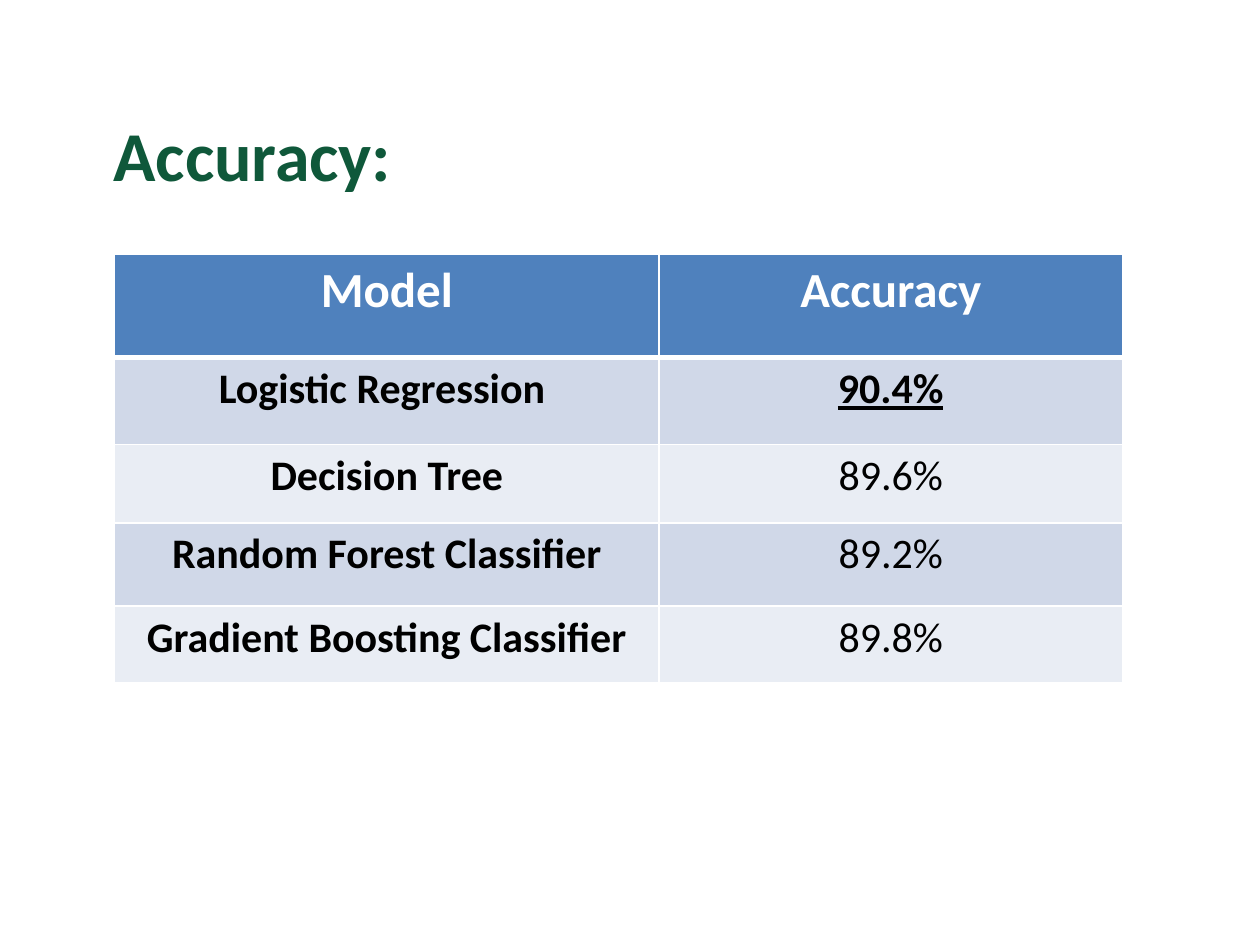
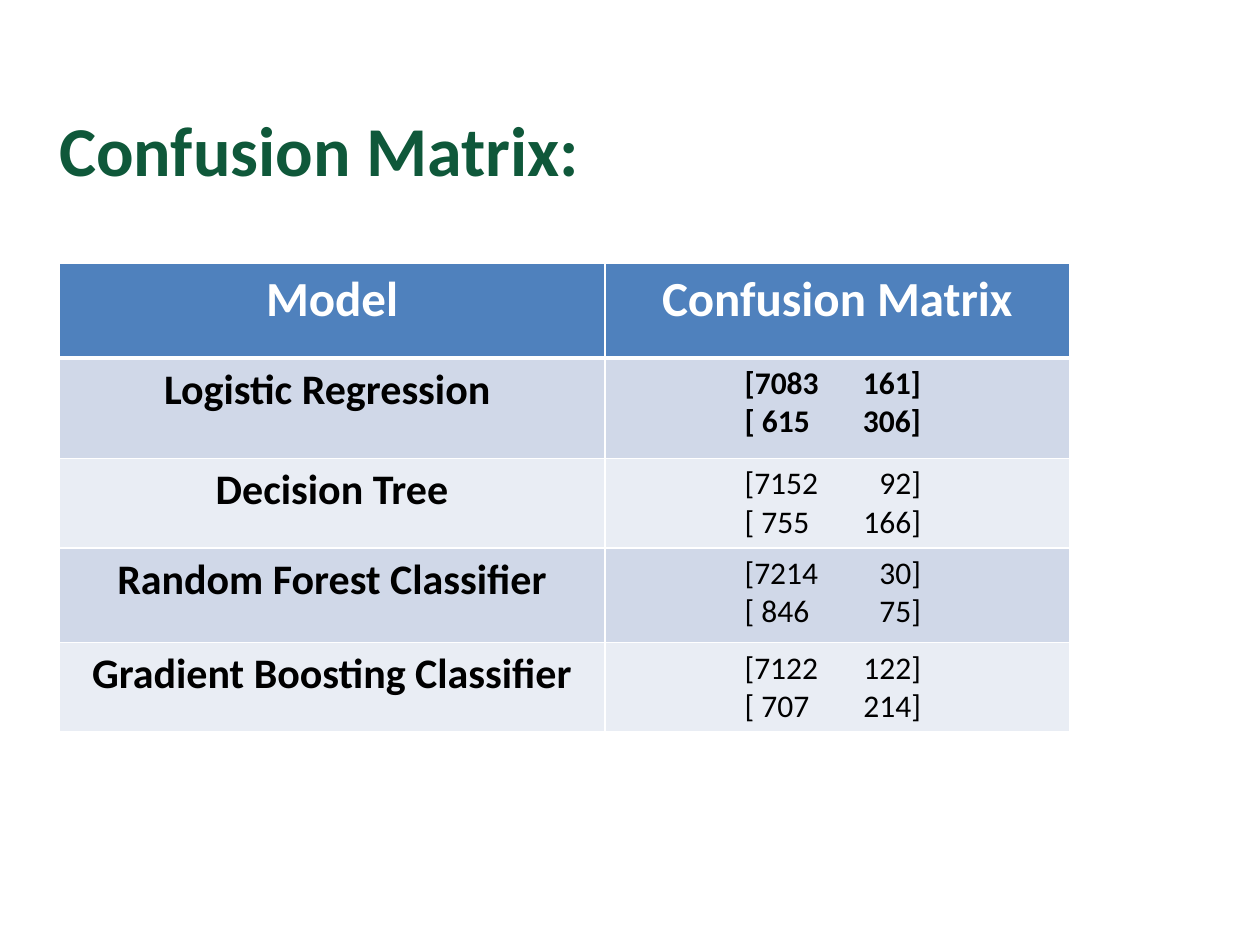
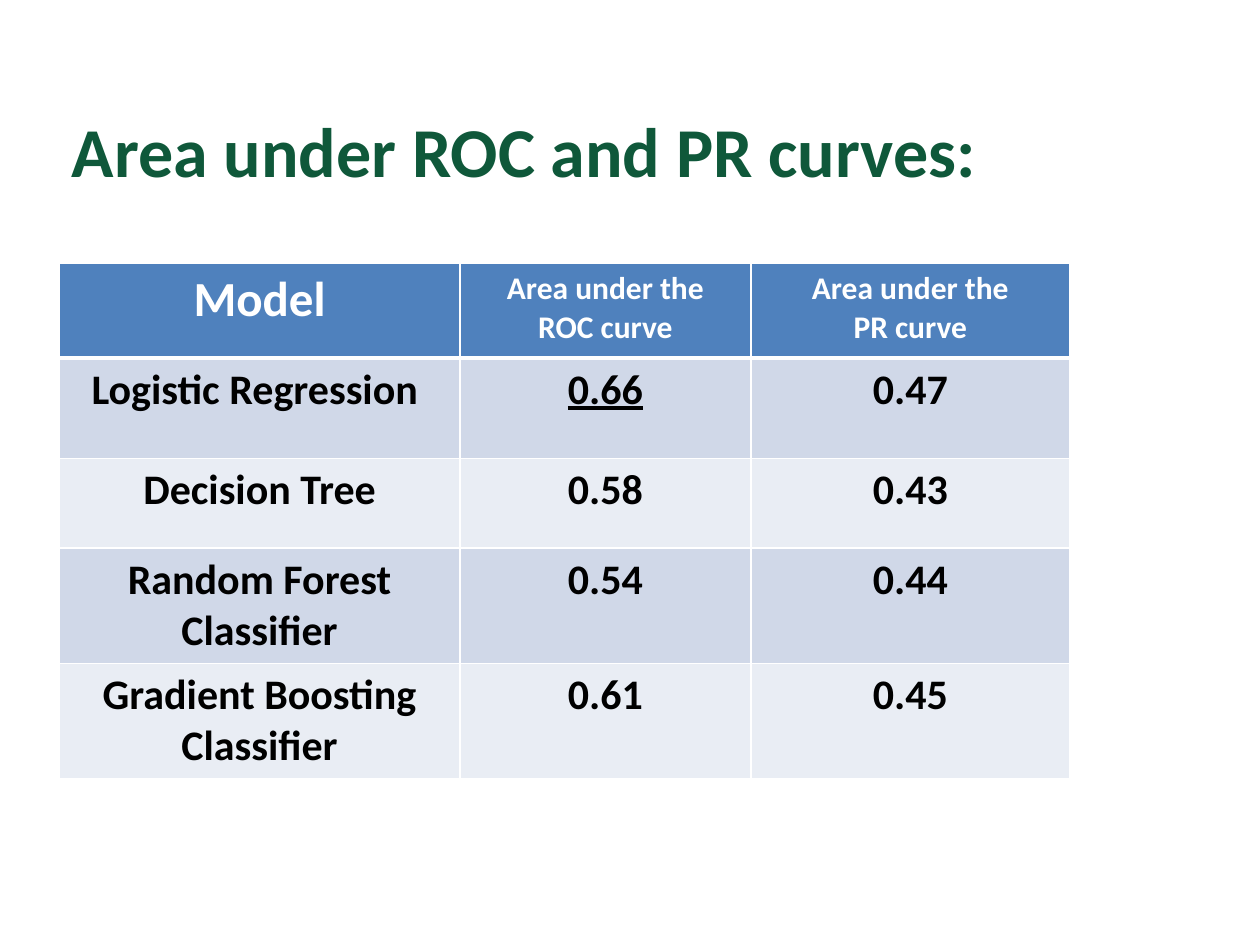
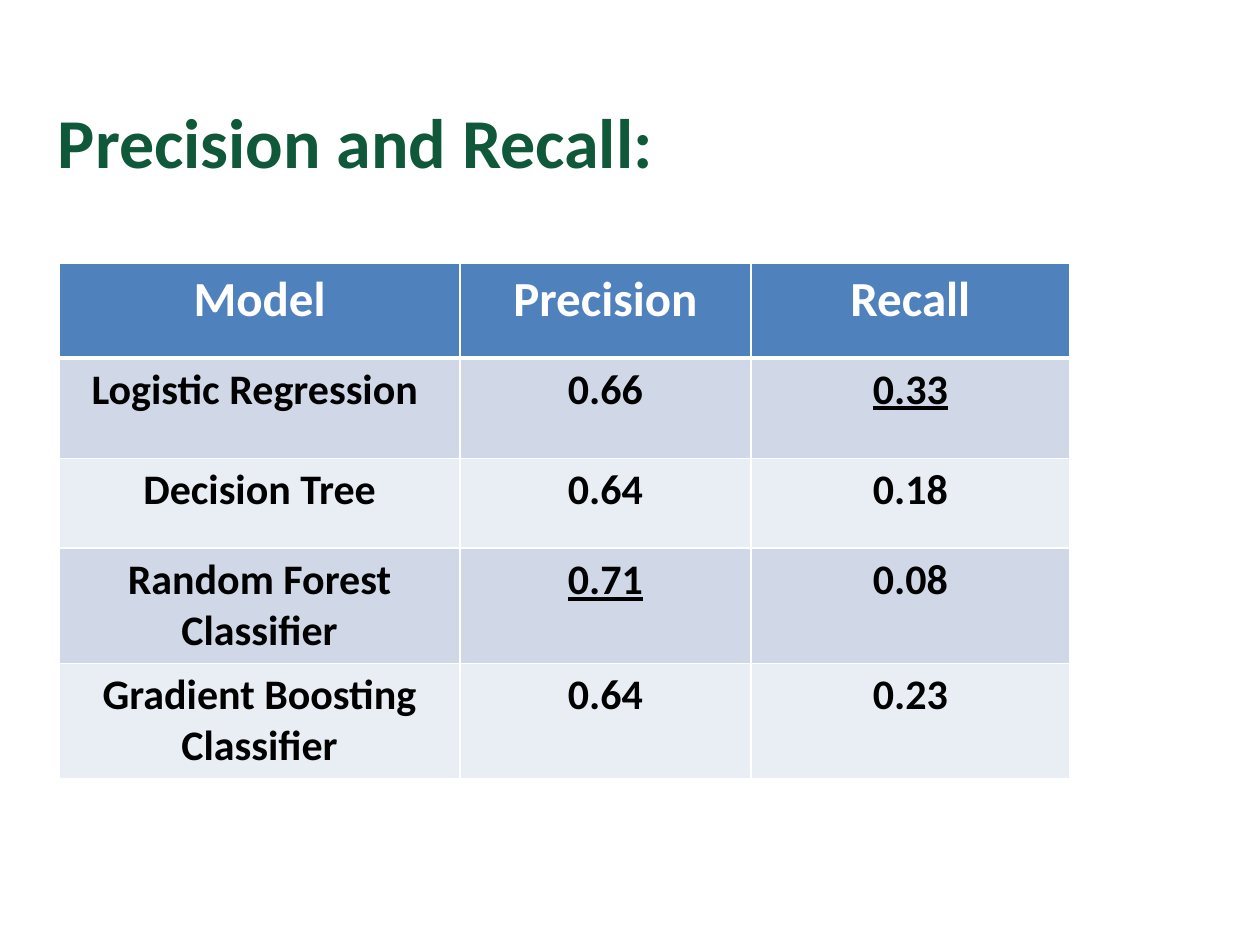
from dataclasses import dataclass

from lxml import etree
from pptx import Presentation
from pptx.dml.color import RGBColor
from pptx.enum.text import MSO_ANCHOR, MSO_AUTO_SIZE, PP_ALIGN
from pptx.oxml.ns import qn
from pptx.util import Inches, Pt

LEFT, CENTER = PP_ALIGN.LEFT, PP_ALIGN.CENTER
MIDDLE = MSO_ANCHOR.MIDDLE
NO_FIT = MSO_AUTO_SIZE.NONE
TITLE_ONLY = 5

SLIDE_WIDTH, SLIDE_HEIGHT = Inches(10), Inches(7.5)
COL, ROW = SLIDE_WIDTH / 100, SLIDE_HEIGHT / 100


@dataclass(frozen=True)
class Theme:
    font: str = "Calibri"
    title_color: str = "0F583A"
    header_fill: str = "4F81BD"
    bands: tuple = ("D0D8E8", "E9EDF4")
    light: str = "FFFFFF"
    dark: str = "000000"
    title_size: int = 40
    header_size: int = 28
    body_size: int = 24
    two_line_size: int = 18
    rule: float = 1
    header_rule: float = 3


THEME = Theme()

MODELS = [
    "Logistic Regression\u00a0",
    "Decision Tree",
    "Random Forest Classifier",
    "Gradient Boosting Classifier",
]
MATRIX_INDENT, MATRIX_WIDTH = 11.1 * COL, 14 * COL
TITLE_LINE = 9.04 * ROW

WIDE_COLUMNS, THREE_COLUMNS = (43.3, 36.9), (31.8, 23.1, 25.3)
COMMON_ROWS = (10, 10.67, 9.47, 10, 9.33)
COMMON_CORNER = (4.7, 27.87)

SLIDES = [
    dict(
        title="Accuracy:", title_box=(8, 11.87, 90.2, 8.8), raised=False,
        corner=(9.1, 26.93), columns=(43.2, 36.8),
        rows=(10.93, 9.2, 8.27, 8.8, 8.13),
        headers=["Model", "Accuracy"],
        values=[["90.4%"], ["89.6%"], ["89.2%"], ["89.8%"]],
        underlined={(1, 1)}, bold_values={1},
    ),
    dict(
        title="Confusion Matrix:", title_box=(3.7, 13.6, 90.7, 13.33), raised=True,
        corner=COMMON_CORNER, columns=WIDE_COLUMNS, rows=COMMON_ROWS,
        headers=["Model", "Confusion Matrix"],
        values=[
            ["[7083\t161]\n[ 615\t306]"],
            ["[7152\t92]\n[ 755\t166]"],
            ["[7214\t30]\n[ 846\t75]"],
            ["[7122\t122]\n[ 707\t214]"],
        ],
        underlined=set(), bold_values={1},
    ),
    dict(
        title="Area under ROC and PR curves:", title_box=(4.7, 13.47, 89, 13.73), raised=True,
        corner=COMMON_CORNER, columns=THREE_COLUMNS, rows=COMMON_ROWS,
        headers=["Model", "Area under the\nROC curve", "Area under the\nPR curve"],
        values=[["0.66", "0.47"], ["0.58", "0.43"], ["0.54", "0.44"], ["0.61", "0.45"]],
        underlined={(1, 1)}, bold_values={1, 2, 3, 4},
    ),
    dict(
        title="Precision and Recall:", title_box=(3.6, 12.67, 90.7, 13.33), raised=True,
        corner=COMMON_CORNER, columns=THREE_COLUMNS, rows=COMMON_ROWS,
        headers=["Model", "Precision", "Recall"],
        values=[["0.66", "0.33"], ["0.64", "0.18"], ["0.71", "0.08"], ["0.64", "0.23"]],
        underlined={(1, 2), (3, 1)}, bold_values={1, 2, 3, 4},
    ),
]


def set_attributes(target, values):
    for name, value in values.items():
        setattr(target, name, value)


def grid_box(left, top, width, height):
    return int(left * COL), int(top * ROW), int(width * COL), int(height * ROW)


def write_text(frame, text, align, color, **font_values):
    frame.text = text
    for paragraph in frame.paragraphs:
        paragraph.alignment = align
        for run in paragraph.runs:
            set_attributes(run.font, dict(name=THEME.font, **font_values))
            run.font.color.rgb = RGBColor.from_string(color)


def draw_borders(cell, row):
    properties = cell._tc.get_or_add_tcPr()
    widths = dict(lnL=THEME.rule, lnR=THEME.rule, lnT=THEME.rule, lnB=THEME.rule)
    if row == 0:
        widths["lnB"] = THEME.header_rule
    elif row == 1:
        widths["lnT"] = THEME.header_rule
    for side, width in widths.items():
        line = etree.SubElement(properties, qn(f"a:{side}"), w=str(Pt(width)))
        fill = etree.SubElement(line, qn("a:solidFill"))
        etree.SubElement(fill, qn("a:srgbClr"), val=THEME.light)


def align_matrix(cell):
    cell.margin_left = int(MATRIX_INDENT)
    for paragraph in cell.text_frame.paragraphs:
        paragraph.alignment = LEFT
        stops = etree.SubElement(paragraph._p.get_or_add_pPr(), qn("a:tabLst"))
        etree.SubElement(stops, qn("a:tab"), pos=str(int(MATRIX_WIDTH)), algn="r")


def add_title(slide, text, box, raised):
    title = slide.shapes.title
    set_attributes(title, dict(zip(("left", "top", "width", "height"), grid_box(*box))))
    frame = title.text_frame
    set_attributes(frame, dict(word_wrap=True, auto_size=NO_FIT, vertical_anchor=MIDDLE))
    if raised:
        frame.margin_bottom = int(frame.margin_top + TITLE_LINE)
    write_text(frame, text, LEFT, THEME.title_color, size=Pt(THEME.title_size), bold=True)


def fill_cell(cell, text, row, bold, underline):
    header = row == 0
    size = THEME.header_size if header else THEME.body_size
    if "\n" in text:
        size = THEME.two_line_size
    draw_borders(cell, row)
    cell.fill.solid()
    fill = THEME.header_fill if header else THEME.bands[(row - 1) % 2]
    cell.fill.fore_color.rgb = RGBColor.from_string(fill)
    write_text(cell.text_frame, text, CENTER, THEME.light if header else THEME.dark,
               size=Pt(size), bold=bold, underline=underline)
    if "\t" in text:
        align_matrix(cell)


def add_score_table(slide, content):
    columns, rows = content["columns"], content["rows"]
    box = grid_box(*content["corner"], sum(columns), sum(rows))
    scores = slide.shapes.add_table(len(rows), len(columns), *box).table
    for column, width in zip(scores.columns, columns):
        column.width = int(width * COL)
    for row, height in zip(scores.rows, rows):
        row.height = int(height * ROW)
    lines = [content["headers"]]
    lines += [[model, *values] for model, values in zip(MODELS, content["values"])]
    for r, line in enumerate(lines):
        for c, text in enumerate(line):
            bold = r == 0 or c == 0 or r in content["bold_values"]
            fill_cell(scores.cell(r, c), text, r, bold, (r, c) in content["underlined"])


def add_score_slide(deck, content):
    slide = deck.slides.add_slide(deck.slide_layouts[TITLE_ONLY])
    add_title(slide, content["title"], content["title_box"], content["raised"])
    add_score_table(slide, content)


deck = Presentation()
set_attributes(deck, dict(slide_width=SLIDE_WIDTH, slide_height=SLIDE_HEIGHT))
for content in SLIDES:
    add_score_slide(deck, content)
deck.save("out.pptx")
